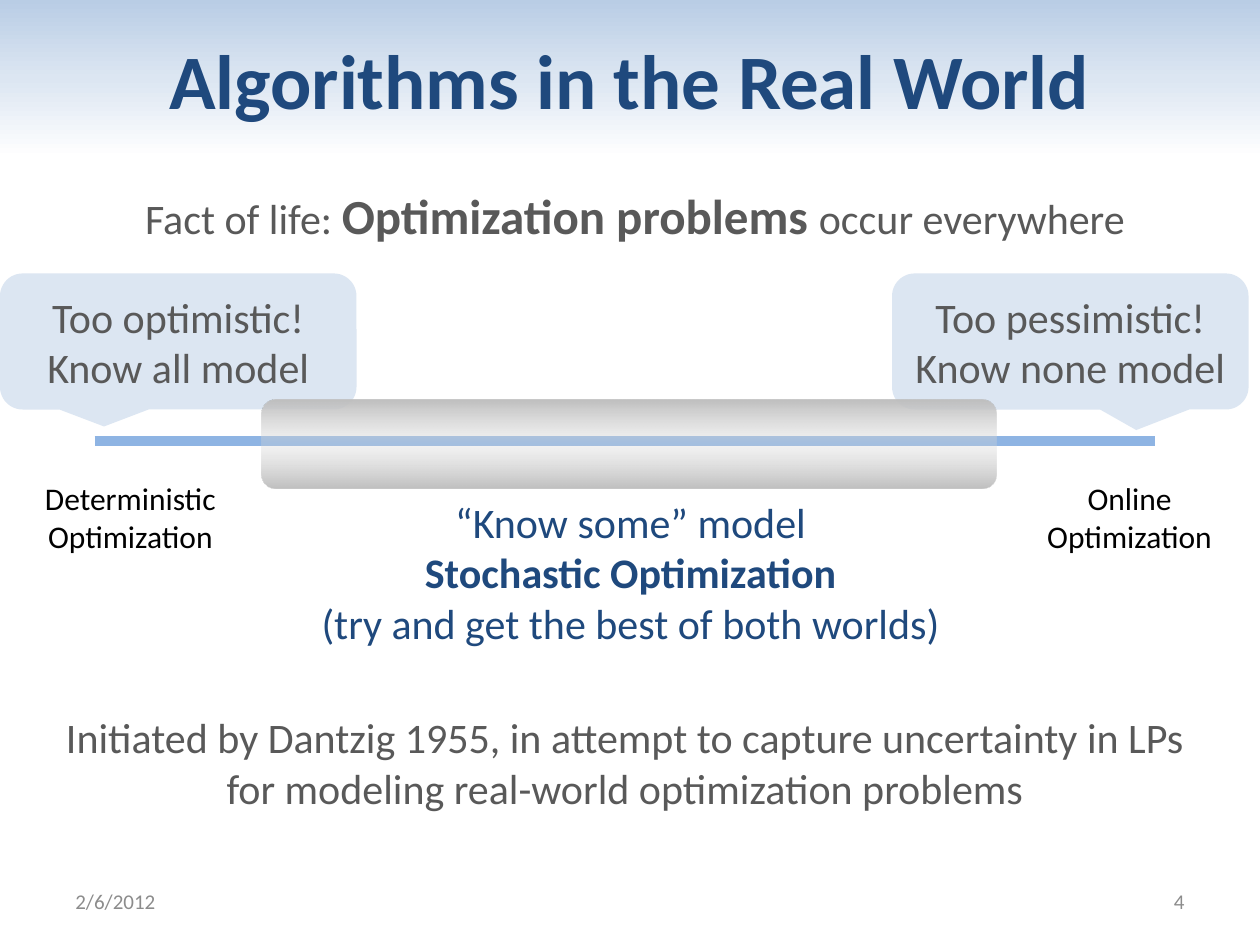
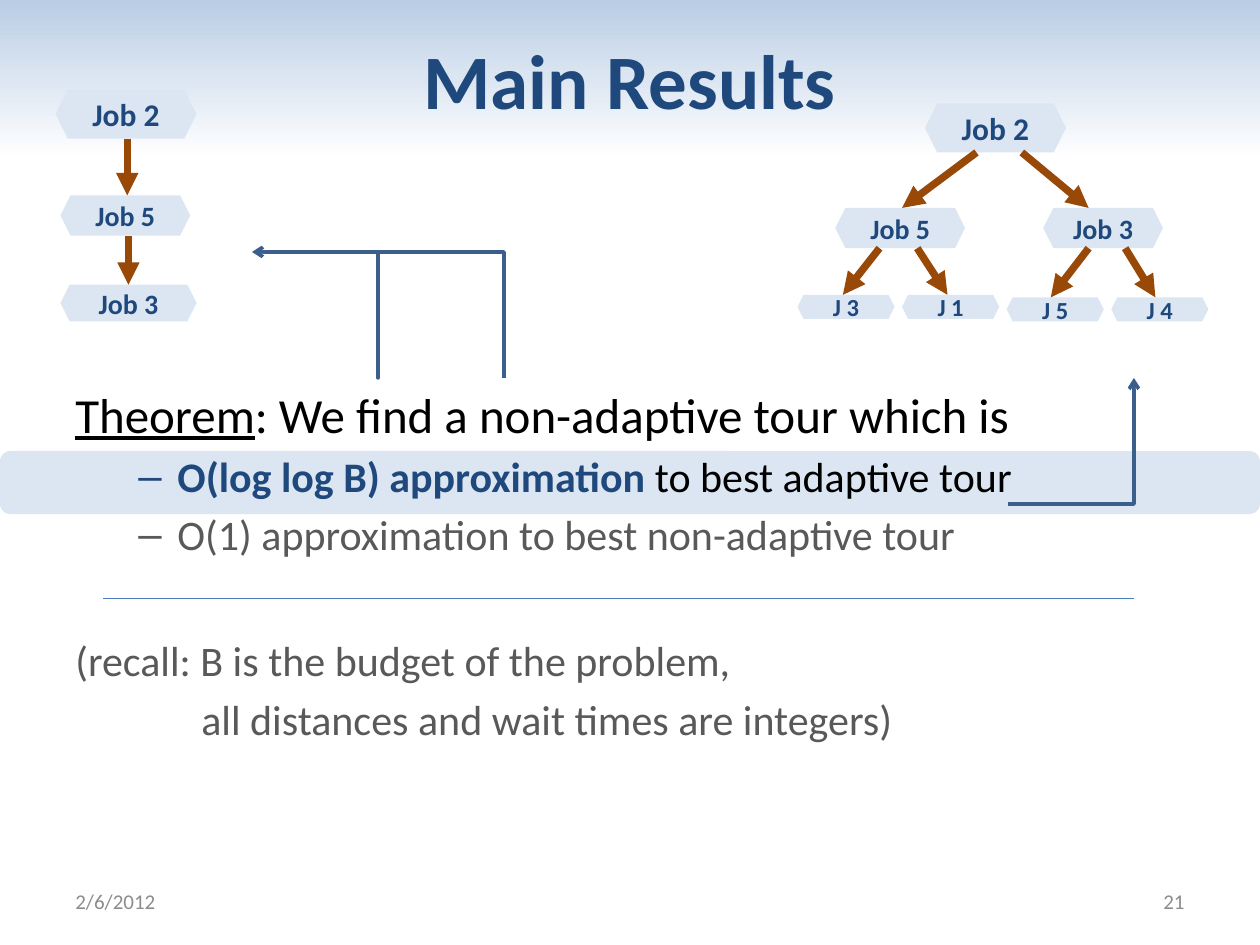
from dataclasses import dataclass
from lxml.etree import SubElement
from pptx import Presentation
from pptx.dml.color import RGBColor
from pptx.enum.shapes import MSO_CONNECTOR, MSO_SHAPE
from pptx.enum.text import MSO_ANCHOR, PP_ALIGN
from pptx.oxml import parse_xml
from pptx.oxml.ns import nsdecls, qn
from pptx.util import Inches, Pt


@dataclass(frozen=True)
class Theme:
    font: str = "Calibri"
    navy: str = "1F497D"
    grey: str = "595959"
    black: str = "000000"
    pale: str = "DCE6F2"
    faint: str = "8C8C8C"
    sky: str = "8EB4E3"
    brown: str = "984807"
    steel: str = "3A5F8C"
    rule: str = "4B7EBC"
    head: int = 44
    large: int = 28
    main: int = 24
    label: int = 18
    foot: int = 12
    band: tuple = ((0, "B9CDE5", 100), (50, "DCE6F2", 100), (100, "FFFFFF", 100))
    tube: tuple = ((0, "BFBFBF", 100), (50, "D9D9D9", 30), (100, "BFBFBF", 100))


T = Theme()
LEFT, MID, RIGHT = PP_ALIGN.LEFT, PP_ALIGN.CENTER, PP_ALIGN.RIGHT
DATE = "2/6/2012"


def run(text, size=T.main, color=T.grey, bold=False, line=False):
    return text, size, color, bold, line


def lines(*texts, **style):
    return [[run(text, **style)] for text in texts]


NOTES = [
    ((1.01, 1.42, 8.06, 0.57), [[
        run("Fact of life: "),
        run("Optimization problems ", T.large, bold=True),
        run("occur everywhere")]]),
    ((0.25, 3.75, 1.57, 0.71),
     lines("Deterministic", "Optimization", size=T.label, color=T.black)),
    ((8.18, 3.75, 1.57, 0.71),
     lines("Online", "Optimization", size=T.label, color=T.black)),
    ((2.37, 3.89, 5.27, 1.31), [
        [run("“Know some” model", color=T.navy)],
        [run("Stochastic Optimization", color=T.navy, bold=True)],
        [run("(try and get the best of both worlds)", color=T.navy)]]),
    ((0.38, 5.6, 9.16, 0.91),
     lines("Initiated by Dantzig 1955, in attempt to capture uncertainty in LPs",
           "for modeling real-world optimization problems")),
]

CALLS = [
    (0, (-0.208, 0.625, 0.167), ("Too optimistic!", "Know all model")),
    (7.08, (0.185, 0.651, 0.167), ("Too pessimistic!", "Know none model")),
]

CLAIMS = [
    (2, 0, False, [run("Theorem", T.large, T.black, line=True),
                   run(": We find a non-adaptive tour which is", T.large, T.black)]),
    (4.4, 0.81, True, [run("O(log log B) approximation", color=T.navy, bold=True),
                       run(" to best adaptive tour", color=T.black)]),
    (4.4, 0.81, True, [run("O(1) approximation to best non-adaptive tour")]),
    (43.3, 0, False, [run("(recall: B is the budget of the problem,")]),
    (4.4, 1, False, [run("all distances and wait times are integers)")]),
]

TREES = [
    ([("Job 2", 7.34, 0.82, 1.12, 0.39, 18),
      ("Job 5", 6.63, 1.65, 1.03, 0.32, 16),
      ("Job 3", 8.28, 1.65, 0.95, 0.32, 16),
      ("J 3", 6.33, 2.34, 0.77, 0.19, 14),
      ("J 1", 7.16, 2.34, 0.77, 0.19, 14),
      ("J 5", 7.99, 2.36, 0.77, 0.19, 14),
      ("J 4", 8.82, 2.36, 0.77, 0.19, 14)],
     [(0, 1, 7.75, 7.16), (0, 2, 8.11, 8.64), (1, 3, 6.98, 6.69),
      (1, 4, 7.28, 7.52), (2, 5, 8.64, 8.34), (2, 6, 8.93, 9.17)]),
    ([("Job 2", 0.44, 0.71, 1.12, 0.39, 18),
      ("Job 5", 0.48, 1.55, 1.03, 0.32, 16),
      ("Job 3", 0.48, 2.26, 1.08, 0.29, 16)],
     [(0, 1, 1.01, 1.01), (1, 2, 1.02, 1.02)]),
]

CURVES = [
    [(4.08, 3.17), (4.01, 2.87), (3.93, 2.57), (3.7, 2.46), (3.48, 2.34),
     (3.05, 2.6), (2.73, 2.49), (2.4, 2.38), (2.08, 2.1), (1.75, 1.81)],
    [(8.16, 3.74), (8.43, 3.77), (8.7, 3.81), (8.83, 3.64), (8.96, 3.48),
     (8.96, 3.12), (8.96, 2.76)],
]


def hue(code):
    return RGBColor.from_string(code)


def write(shape, rows, align=MID, anchor=MSO_ANCHOR.MIDDLE, wrap=False):
    frame = shape.text_frame
    frame.word_wrap = wrap
    frame.vertical_anchor = anchor
    for spot, row in enumerate(rows):
        para = frame.add_paragraph() if spot else frame.paragraphs[0]
        para.alignment = align
        for text, size, color, bold, line in row:
            part = para.add_run()
            part.text = text
            font = part.font
            font.name, font.size, font.bold = T.font, Pt(size), bold
            font.underline = line
            font.color.rgb = hue(color)
    return frame


def box(slide, at, rows, **style):
    return write(slide.shapes.add_textbox(*map(Inches, at)), rows, **style)


def shade(shape, stops):
    stops = "".join(
        f'<a:gs pos="{pos * 1000}"><a:srgbClr val="{code}">'
        f'<a:alpha val="{alpha * 1000}"/></a:srgbClr></a:gs>'
        for pos, code, alpha in stops)
    shape.fill.background()
    props = shape._element.spPr
    props.replace(props.find(qn("a:noFill")), parse_xml(
        f'<a:gradFill {nsdecls("a")} rotWithShape="1"><a:gsLst>{stops}</a:gsLst>'
        '<a:lin ang="5400000" scaled="0"/></a:gradFill>'))


def block(shapes, kind, at, paint=T.pale):
    shape = shapes.add_shape(kind, *map(Inches, at))
    shape.shadow.inherit = False
    shape.line.fill.background()
    if isinstance(paint, str):
        shape.fill.solid()
        shape.fill.fore_color.rgb = hue(paint)
    else:
        shade(shape, paint)
    return shape


def stroke(shape, color, width, tip=None):
    shape.line.color.rgb = hue(color)
    shape.line.width = Pt(width)
    if tip:
        SubElement(shape.line._get_or_add_ln(), qn("a:tailEnd"), type=tip)


def link(shapes, ends, color, width, tip=None):
    line = shapes.add_connector(MSO_CONNECTOR.STRAIGHT, *map(Inches, ends))
    stroke(line, color, width, tip)
    SubElement(line._element.spPr, qn("a:effectLst"))


def curve(slide, knots, steps=10):
    dots = []
    for spot in range(0, len(knots) - 1, 3):
        for step in range(1, steps + 1):
            t = step / steps
            s = 1 - t
            mix = (s ** 3, 3 * s * s * t, 3 * s * t * t, t ** 3)
            quad = knots[spot:spot + 4]
            dots.append(tuple(sum(m * p[axis] for m, p in zip(mix, quad))
                              for axis in (0, 1)))
    pen = slide.shapes.build_freeform(*knots[0], scale=Inches(1))
    pen.add_line_segments(dots, close=False)
    shape = pen.convert_to_shape()
    shape.shadow.inherit = False
    shape.fill.background()
    stroke(shape, T.steel, 2, "arrow")


def tree(slide, nodes, edges):
    shapes = slide.shapes.add_group_shape().shapes
    for name, x, y, wide, high, size in nodes:
        shape = block(shapes, MSO_SHAPE.HEXAGON, (x, y, wide, high))
        frame = write(shape, lines(name, size=size, color=T.navy, bold=True))
        frame.margin_left = frame.margin_right = 0
        frame.margin_top = frame.margin_bottom = 0
    for start, end, x, to in edges:
        base = nodes[start][2] + nodes[start][4]
        link(shapes, (x, base, to, nodes[end][2]), T.brown, 4.25, "triangle")


def begin(deck, title, page):
    slide = deck.slides.add_slide(deck.slide_layouts[6])
    band = block(slide.shapes, MSO_SHAPE.RECTANGLE, (0, 0, 10, 1.25), T.band)
    write(band, lines(title, size=T.head, color=T.navy, bold=True), wrap=True)
    for x, text, align in ((0.5, DATE, LEFT), (7.17, page, RIGHT)):
        box(slide, (x, 6.95, 2.33, 0.4),
            lines(text, size=T.foot, color=T.faint), align=align, wrap=True)
    return slide


def world(deck):
    slide = begin(deck, "Algorithms in the Real World", "4")
    link(slide.shapes, (0.75, 3.5, 9.17, 3.5), T.sky, 5.75)
    for x, tip, texts in CALLS:
        call = block(slide.shapes, MSO_SHAPE.ROUNDED_RECTANGULAR_CALLOUT,
                     (x, 2.17, 2.83, 1.08))
        for spot, value in enumerate(tip):
            call.adjustments[spot] = value
        write(call, lines(*texts))
    block(slide.shapes, MSO_SHAPE.ROUNDED_RECTANGLE, (2.08, 3.17, 5.83, 0.71), T.tube)
    for at, rows in NOTES:
        box(slide, at, rows, anchor=MSO_ANCHOR.TOP)


def results(deck):
    slide = begin(deck, "Main Results", "21")
    block(slide.shapes, MSO_SHAPE.ROUNDED_RECTANGLE, (0, 3.58, 10, 0.5))
    frame = box(slide, (0.5, 3, 9, 3.83), [claim[3] for claim in CLAIMS],
                align=LEFT, anchor=MSO_ANCHOR.TOP, wrap=True)
    for para, (gap, left, dash, _) in zip(frame.paragraphs, CLAIMS):
        para.space_before = Pt(gap)
        props = para._p.get_or_add_pPr()
        props.set("marL", str(Inches(left)))
        if dash:
            props.set("indent", str(Inches(-0.31)))
            SubElement(props, qn("a:buFont"), typeface="Arial")
            SubElement(props, qn("a:buChar"), char="–")
    for nodes, edges in TREES:
        tree(slide, nodes, edges)
    for knots in CURVES:
        curve(slide, knots)
    link(slide.shapes, (0.82, 4.75, 9, 4.75), T.rule, 0.75)


def main():
    deck = Presentation()
    deck.slide_width, deck.slide_height = Inches(10), Inches(7.5)
    world(deck)
    results(deck)
    deck.save("out.pptx")


if __name__ == "__main__":
    main()
